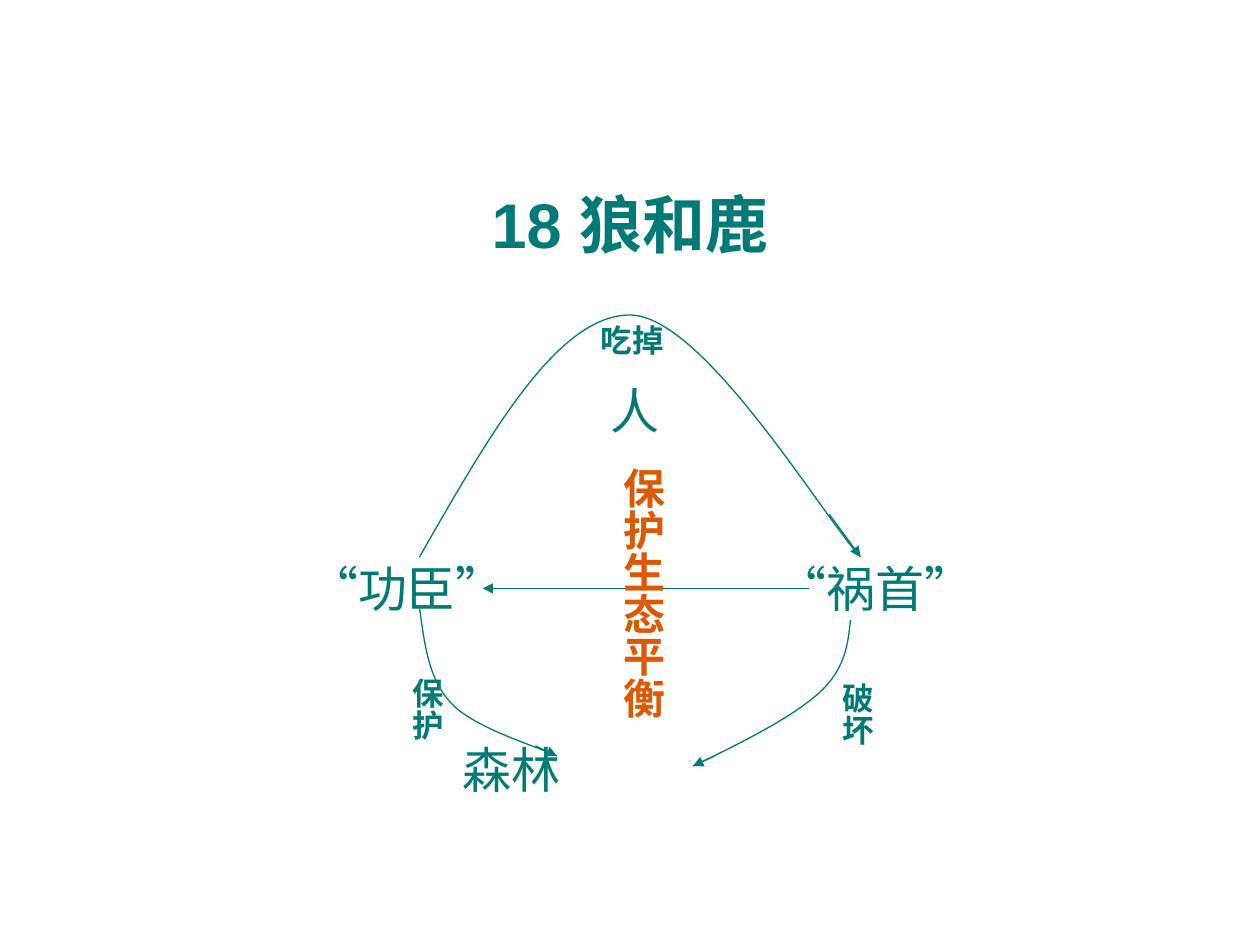
from lxml import etree
from pptx import Presentation
from pptx.dml.color import RGBColor
from pptx.enum.shapes import MSO_CONNECTOR
from pptx.enum.text import MSO_ANCHOR, MSO_AUTO_SIZE, PP_ALIGN
from pptx.oxml.ns import qn
from pptx.util import Inches, Pt

TEAL = RGBColor(0x00, 0x7A, 0x77)
ORANGE = RGBColor(0xDC, 0x59, 0x00)
FONT = "Arial"
LINE_WIDTH = Pt(0.75)
STRAIGHT = MSO_CONNECTOR.STRAIGHT
LEFT, CENTER = PP_ALIGN.LEFT, PP_ALIGN.CENTER
TOP, MIDDLE = MSO_ANCHOR.TOP, MSO_ANCHOR.MIDDLE

# Content (inches)
TITLE = "18 狼和鹿"
NODE_SIZE = (2.2, 0.6)
NODES = [  # text, centre
    ("人", 5.04, 3.25),
    ("“功臣”", 3.23, 4.67),
    ("“祸首”", 6.95, 4.67),
    ("森林", 4.06, 6.1),
]
LABELS = [  # text, box, size, colour, vertical
    ("保护生态平衡", (4.75, 3.61, 0.6, 2.25), 24, ORANGE, True),
    ("吃掉", (4.67, 2.5, 1.17, 0.4), 18, TEAL, False),
    ("保护", (3.09, 5.28, 0.5, 0.75), 18, TEAL, True),
    ("破坏", (6.5, 5.32, 0.5, 0.83), 18, TEAL, True),
]
CURVES = [  # start, then two control points and an end for each segment
    [(3.33, 4.42), (3.88, 3.46), (4.42, 2.5), (5, 2.5),
     (5.58, 2.5), (6.53, 4.1), (6.83, 4.42)],
    [(3.33, 4.83), (3.37, 5.11), (3.4, 5.39), (3.58, 5.58),
     (3.76, 5.78), (4.28, 5.93), (4.42, 6)],
    [(6.75, 4.92), (6.73, 5.11), (6.71, 5.31), (6.5, 5.5),
     (6.29, 5.69), (5.9, 5.89), (5.5, 6.08)],
]
ARROWS = [  # from, to
    ((6.58, 4.08), (6.83, 4.42)),
    ((4.25, 5.92), (4.42, 6)),
    ((5.67, 6), (5.5, 6.08)),
    ((6.42, 4.67), (3.83, 4.67)),
]


def inches(values):
    return [Inches(v) for v in values]


def write(shape, text, size, color, bold, align, anchor):
    tf = shape.text_frame
    tf.text = text
    tf.word_wrap = True
    tf.auto_size = MSO_AUTO_SIZE.NONE
    tf.vertical_anchor = anchor
    p = tf.paragraphs[0]
    p.alignment = align
    font = p.runs[0].font
    font.name, font.size, font.bold = FONT, Pt(size), bold
    font.color.rgb = color
    return tf


def add_curve(slide, points):
    builder = slide.shapes.build_freeform(*inches(points[0]))
    builder.add_line_segments([inches(p) for p in points[3::3]], close=False)
    s = builder.convert_to_shape()
    s.shadow.inherit = False
    s.fill.background()
    s.line.color.rgb = TEAL
    s.line.width = LINE_WIDTH
    # Bend each straight segment with its two control points
    segments = list(s._element.iter(qn("a:lnTo")))
    for i, segment in enumerate(segments):
        segment.tag = qn("a:cubicBezTo")
        for n, control in enumerate(points[3 * i + 1:3 * i + 3]):
            x, y = inches(control)
            pt = etree.Element(qn("a:pt"), x=str(x - s.left), y=str(y - s.top))
            segment.insert(n, pt)


def add_arrow(slide, start, end):
    s = slide.shapes.add_connector(STRAIGHT, *inches(start + end))
    s.line.color.rgb = TEAL
    s.line.width = LINE_WIDTH
    etree.SubElement(s.line._get_or_add_ln(), qn("a:tailEnd"), type="triangle")
    etree.SubElement(s._element.spPr, qn("a:effectLst"))


def main():
    prs = Presentation()
    prs.slide_width, prs.slide_height = Inches(10), Inches(7.5)
    slide = prs.slides.add_slide(prs.slide_layouts[5])

    # Title
    title = slide.shapes.title
    title.left, title.top, title.width, title.height = inches((0, 1.39, 10, 0.76))
    write(title, TITLE, 36, TEAL, True, CENTER, MIDDLE)

    # Parts of the cycle
    w, h = NODE_SIZE
    for text, x, y in NODES:
        box = slide.shapes.add_textbox(*inches((x - w / 2, y - h / 2, w, h)))
        write(box, text, 28, TEAL, False, CENTER, MIDDLE)

    # Curves and arrows
    for points in CURVES:
        add_curve(slide, points)
    for start, end in ARROWS:
        add_arrow(slide, start, end)

    # Labels on the arrows
    for text, place, size, color, vertical in LABELS:
        box = slide.shapes.add_textbox(*inches(place))
        tf = write(box, text, size, color, True, LEFT, TOP)
        if vertical:
            tf._txBody.bodyPr.set("vert", "eaVert")
            tf.margin_left = tf.margin_right = Inches(0.05)
            tf.margin_top = tf.margin_bottom = Inches(0.1)

    prs.save("out.pptx")


if __name__ == "__main__":
    main()
